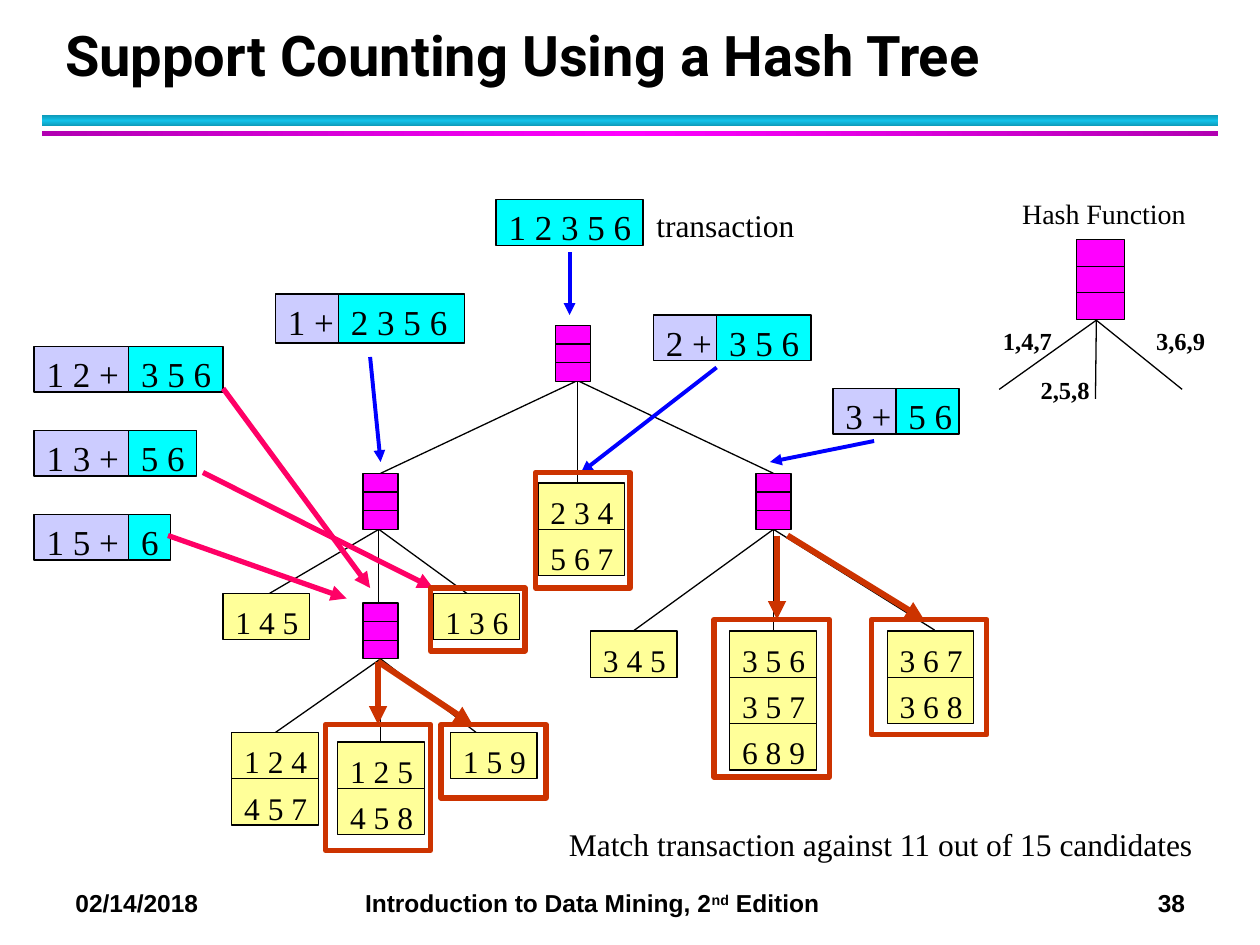
import copy
import pptx
import pptx.util
import pptx.dml.color
import pptx.enum.shapes
import pptx.enum.text
import pptx.oxml.ns
from lxml import etree

Pt = pptx.util.Pt
RGB = pptx.dml.color.RGBColor.from_string
qn = pptx.oxml.ns.qn
SHAPE = pptx.enum.shapes.MSO_SHAPE.RECTANGLE
TOP = pptx.enum.text.MSO_ANCHOR.TOP
LEFT = pptx.enum.text.PP_ALIGN.LEFT

theme = {
    "ink": "000000", "node": "FF00FF", "leaf": "FFFF99", "prefix": "CCCCFF", "items": "00FFFF",
    "query": "0000FF", "subset": "FF0066", "match": "CC3300",
    "rules": [("0E9BBA", "12C2E9"), ("B200B2", "FF00FF")],
    "title": {"name": "Roboto", "size": Pt(32), "bold": True},
    "footer": {"name": "Arial", "size": Pt(14), "bold": True},
    "item": {"name": "Times New Roman", "size": Pt(20), "bold": False},
    "body": {"name": "Times New Roman", "size": Pt(18), "bold": False},
    "caption": {"name": "Times New Roman", "size": Pt(16), "bold": False},
    "hash": {"name": "Times New Roman", "size": Pt(14), "bold": True},
}

prs = pptx.Presentation()
prs.slide_width, prs.slide_height = Pt(720), Pt(540)
s = prs.slides.add_slide(prs.slide_layouts[5])


def box(x, y, w, h, text="", font="body", fill=None, line=None, weight=0.75, inset=3.6):
    at = [Pt(v) for v in (x, y, w, h)]
    if fill or line:
        sp = s.shapes.add_shape(SHAPE, *at)
        sp.shadow.inherit = False
    else:
        sp = s.shapes.add_textbox(*at)
    if fill:
        sp.fill.solid()
        sp.fill.fore_color.rgb = RGB(fill)
    else:
        sp.fill.background()
    if line:
        sp.line.color.rgb = RGB(line)
        sp.line.width = Pt(weight)
    if text:
        tf = sp.text_frame
        frame = {"word_wrap": True, "vertical_anchor": TOP, "margin_left": Pt(7.2),
                 "margin_right": 0, "margin_top": Pt(inset), "margin_bottom": 0}
        for k, v in frame.items():
            setattr(tf, k, v)
        p = tf.paragraphs[0]
        p.alignment = LEFT
        r = p.add_run()
        r.text = text
        for k, v in theme[font].items():
            setattr(r.font, k, v)
        r.font.color.rgb = RGB(theme["ink"])
    return sp


def line(x1, y1, x2, y2, color=theme["ink"], weight=0.75, arrow=False):
    c = s.shapes.add_connector(pptx.enum.shapes.MSO_CONNECTOR.STRAIGHT, Pt(x1), Pt(y1), Pt(x2), Pt(y2))
    c.line.color.rgb = RGB(color)
    c.line.width = Pt(weight)
    if arrow:
        etree.SubElement(c.line._get_or_add_ln(), qn("a:tailEnd"), type="triangle")
    etree.SubElement(c._element.spPr, qn("a:effectLst"))


for (y, h, angle), (edge, middle) in zip([(66, 6, 90), (75, 3, 0)], theme["rules"]):
    sp = box(24, y, 672, h, fill=edge)
    sp.line.fill.background()
    sp.fill.gradient()
    sp.fill.gradient_angle = angle
    stops = sp._element.spPr.find(qn("a:gradFill")).find(qn("a:gsLst"))
    stops.append(copy.deepcopy(stops[0]))
    for stop, position, color in zip(sp.fill.gradient_stops, (0, 0.5, 1), (edge, middle, edge)):
        stop.position = position
        stop.color.rgb = RGB(color)

title = s.shapes.title
title.left, title.top, title.width, title.height = Pt(30), Pt(12), Pt(652), Pt(42)
tf = title.text_frame
tf.text = "Support Counting Using a Hash Tree"
frame = {"auto_size": pptx.enum.text.MSO_AUTO_SIZE.NONE, "word_wrap": True,
         "vertical_anchor": pptx.enum.text.MSO_ANCHOR.BOTTOM}
for k, v in frame.items():
    setattr(tf, k, v)
p = tf.paragraphs[0]
p.alignment = LEFT
p.line_spacing = Pt(36)
for k, v in theme["title"].items():
    setattr(p.runs[0].font, k, v)
p.runs[0].font.color.rgb = RGB(theme["ink"])

footer = box(36, 504, 672, 24, "02/14/2018\tIntroduction to Data Mining, 2", "footer")
p = footer.text_frame.paragraphs[0]
tabs = etree.SubElement(p._p.get_or_add_pPr(), qn("a:tabLst"))
for position in (165.5, 618.5):
    etree.SubElement(tabs, qn("a:tab"), pos=str(Pt(position)), algn="l")
for text, baseline in [("nd", "30000"), (" Edition\t38", "0")]:
    r = p.add_run()
    r.text = text
    for k, v in theme["footer"].items():
        setattr(r.font, k, v)
    r.font.color.rgb = RGB(theme["ink"])
    r._r.get_or_add_rPr().set("baseline", baseline)

branches = [
    (330, 217.5, [(217.5, 270.5), (330, 276), (442, 270.5)]),
    (216.5, 302.5, [(152.5, 340), (216.5, 344.5), (268, 340)]),
    (442, 302.5, [(362, 360.5), (442, 360.5), (534, 360)]),
    (217.5, 376.5, [(157.5, 418.5), (217.5, 424), (272, 418.5)]),
    (626.5, 183, [(571, 222.5), (626, 228), (675.5, 222.5)]),
]
for x, y, ends in branches:
    for end in ends:
        line(x, y, *end)

nodes = [(317.5, 186, 20, 32), (207.5, 270.5, 20, 32), (432, 270.5, 20, 32),
         (207.5, 344.5, 20, 32), (615, 137, 27.5, 45.5)]
for x, y, w, h in nodes:
    box(x, y, w, h, fill=theme["node"], line=theme["ink"])
    for i in (1, 2):
        line(x, y + h * i / 3, x + w, y + h * i / 3)

leaves = [
    (127.5, 339, ["1 4 5"]), (247.5, 339, ["1 3 6"]), (337.5, 360.5, ["3 4 5"]),
    (417, 360.5, ["3 5 6", "3 5 7", "6 8 9"]), (507, 360.5, ["3 6 7", "3 6 8"]),
    (307.5, 276, ["2 3 4", "5 6 7"]), (132.5, 418.5, ["1 2 4", "4 5 7"]),
    (193, 424, ["1 2 5", "4 5 8"]), (257.5, 418.5, ["1 5 9"]),
]
for x, y, candidates in leaves:
    for i, text in enumerate(candidates):
        box(x, y + 26.5 * i, 49.5, 26.5, text, fill=theme["leaf"], line=theme["ink"], inset=5.6)

box(283.5, 114, 84, 26.5, "1 2 3 5 6", "item", theme["items"], theme["ink"])
splits = [
    (157.5, 168, 36, 72, 28, "1 +", "2 3 5 6"), (373.5, 180, 36, 54, 26, "2 +", "3 5 6"),
    (476, 222, 36, 36, 26, "3 +", "5 6"), (19.5, 198, 54, 54, 26, "1 2 +", "3 5 6"),
    (19.5, 246, 54, 39, 26, "1 3 +", "5 6"), (19.5, 294, 54, 24, 26, "1 5 +", "6"),
]
for x, y, w1, w2, h, prefix, items in splits:
    box(x + w1, y, w2, h, items, "item", theme["items"], theme["ink"])
    box(x, y, w1, h, prefix, "item", theme["prefix"], theme["ink"])

labels = [
    (368, 114, 94, 29, "transaction", "body"), (577, 109, 109, 27, "Hash Function", "caption"),
    (566, 183, 43, 24, "1,4,7", "hash"), (587.5, 211, 43, 24, "2,5,8", "hash"),
    (653.5, 183, 43, 24, "3,6,9", "hash"),
    (318, 468, 379, 29, "Match transaction against 11 out of 15 candidates", "body"),
]
for label in labels:
    box(*label)

arrows = [
    ("query", 2.25, [(325.5, 144, 325.5, 180), (211.5, 204, 217.5, 264),
                     (409.5, 210, 332, 270), (499.5, 252, 440, 264)]),
    ("subset", 3, [(127.5, 222, 211.5, 336), (96, 306, 198, 342), (116, 270, 247.5, 336)]),
    ("match", 3.5, [(216, 378, 216, 414), (216, 378, 270, 414),
                    (444, 306, 444, 354), (450, 306, 528, 354)]),
]
for role, weight, paths in arrows:
    for ends in paths:
        line(*ends, theme[role], weight, True)

matches = [(186, 414, 60, 72), (252, 414, 60, 42), (306, 270, 54, 66),
           (246, 336, 54, 36), (408, 354, 66, 90), (498, 354, 66, 66)]
for frame in matches:
    box(*frame, line=theme["match"], weight=3)

prs.save("out.pptx")
